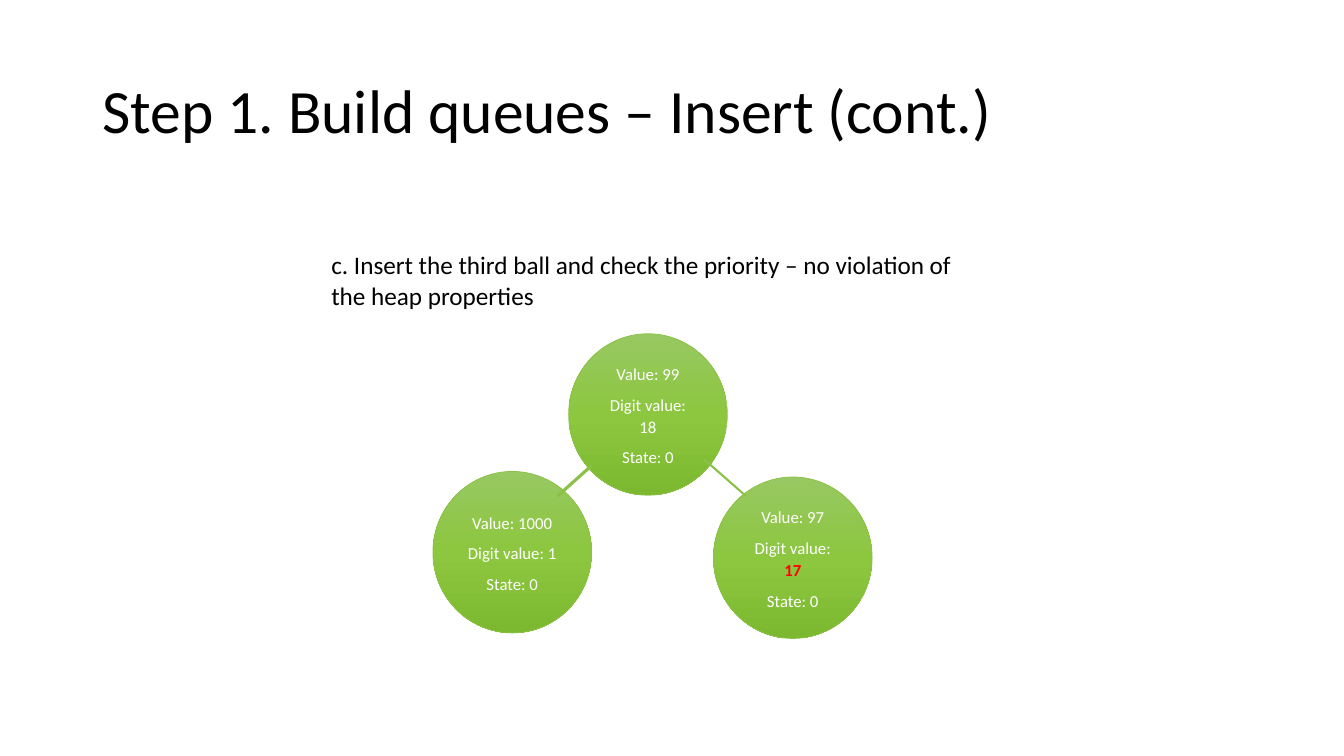
from copy import deepcopy

from pptx import Presentation
from pptx.dml.color import RGBColor
from pptx.enum import shapes, text
from pptx.oxml import parse_xml
from pptx.oxml.ns import nsdecls
from pptx.util import Cm, Pt

BLACK = RGBColor(0x00, 0x00, 0x00)
WHITE = RGBColor(0xFF, 0xFF, 0xFF)
RED = RGBColor(0xFF, 0x00, 0x00)
GREEN = RGBColor(0x8B, 0xC1, 0x45)
GRADIENT = [
    (0, RGBColor(0x98, 0xC8, 0x62)),
    (0.5, RGBColor(0x8C, 0xC7, 0x3F)),
    (1, RGBColor(0x7D, 0xB8, 0x31)),
]
FONT = "Calibri"

TITLE = "Step 1. Build queues – Insert (cont.)"
CAPTION = "c. Insert the third ball and check the priority – no violation of the heap properties"

# left, top, value, digit value, digit value stands out, state
ROOT = (14.33, 8.41, "99", "18", False, "0")
# child ball, then its link: start, end, width in points
CHILDREN = [
    ((10.91, 11.88, "1000", "1", False, "0"), (14.91, 11.73), (14.05, 12.5), 2.25),
    ((17.98, 12.02, "97", "17", True, "0"), (17.75, 11.58), (18.8, 12.5), 1.5),
]
BALL_WIDTH, BALL_HEIGHT = 4.0, 4.07


def add_text(slide, box, words, size, anchor, line_spacing):
    shape = slide.shapes.add_textbox(*(Cm(length) for length in box))
    frame = shape.text_frame
    frame.word_wrap = True
    frame.vertical_anchor = anchor
    paragraph = frame.paragraphs[0]
    paragraph.text = words
    paragraph.line_spacing = line_spacing
    paragraph.font.name = FONT
    paragraph.font.size = Pt(size)
    paragraph.font.color.rgb = BLACK


def fill_gradient(shape):
    """Fill from top to bottom with the three GRADIENT stops."""
    shape.fill.gradient()
    shape.fill.gradient_angle = 270
    stop_list = shape._element.spPr.xpath(".//a:gsLst")[0]
    stop_list.insert(1, deepcopy(stop_list[0]))
    for stop, (position, color) in zip(shape.fill.gradient_stops, GRADIENT):
        stop.position = position
        stop.color.rgb = color


def add_ball(slide, ball):
    left, top, value, digit_value, stands_out, state = ball
    shape = slide.shapes.add_shape(
        shapes.MSO_SHAPE.FLOWCHART_CONNECTOR,
        Cm(left), Cm(top), Cm(BALL_WIDTH), Cm(BALL_HEIGHT))
    shape.shadow.inherit = False
    fill_gradient(shape)
    shape.line.color.rgb = GREEN
    shape.line.width = Pt(0.5)

    frame = shape.text_frame
    frame.word_wrap = True
    frame.vertical_anchor = text.MSO_ANCHOR.MIDDLE
    rows = [("Value: ", value), ("Digit value: ", digit_value), ("State: ", state)]
    for index, (label, number) in enumerate(rows):
        paragraph = frame.add_paragraph() if index else frame.paragraphs[0]
        paragraph.alignment = text.PP_ALIGN.CENTER
        paragraph.line_spacing = 1.1
        paragraph.space_after = Pt(6)
        paragraph.font.name = FONT
        paragraph.font.size = Pt(12)
        paragraph.font.color.rgb = WHITE
        if stands_out and number == digit_value:
            paragraph.add_run().text = label
            run = paragraph.add_run()
            run.text = number
            run.font.bold = True
            run.font.color.rgb = RED
        else:
            paragraph.add_run().text = label + number


def add_link(slide, start, end, width):
    link = slide.shapes.add_connector(
        shapes.MSO_CONNECTOR.STRAIGHT, *(Cm(length) for length in start + end))
    link.line.color.rgb = GREEN
    link.line.width = Pt(width)
    link._element.spPr.append(parse_xml(f"<a:effectLst {nsdecls('a')}/>"))


def main():
    presentation = Presentation()
    presentation.slide_width = Cm(33.87)
    presentation.slide_height = Cm(19.05)
    slide = presentation.slides.add_slide(presentation.slide_layouts[6])

    add_text(slide, (2.33, 1.01, 29.21, 3.68), TITLE, 44, text.MSO_ANCHOR.MIDDLE, 0.9)
    add_ball(slide, ROOT)
    for ball, start, end, width in CHILDREN:
        add_ball(slide, ball)
        add_link(slide, start, end, width)
    add_text(slide, (8.1, 6.17, 17.07, 1.8), CAPTION, 18, text.MSO_ANCHOR.TOP, 1.0)

    presentation.save("out.pptx")


if __name__ == "__main__":
    main()
